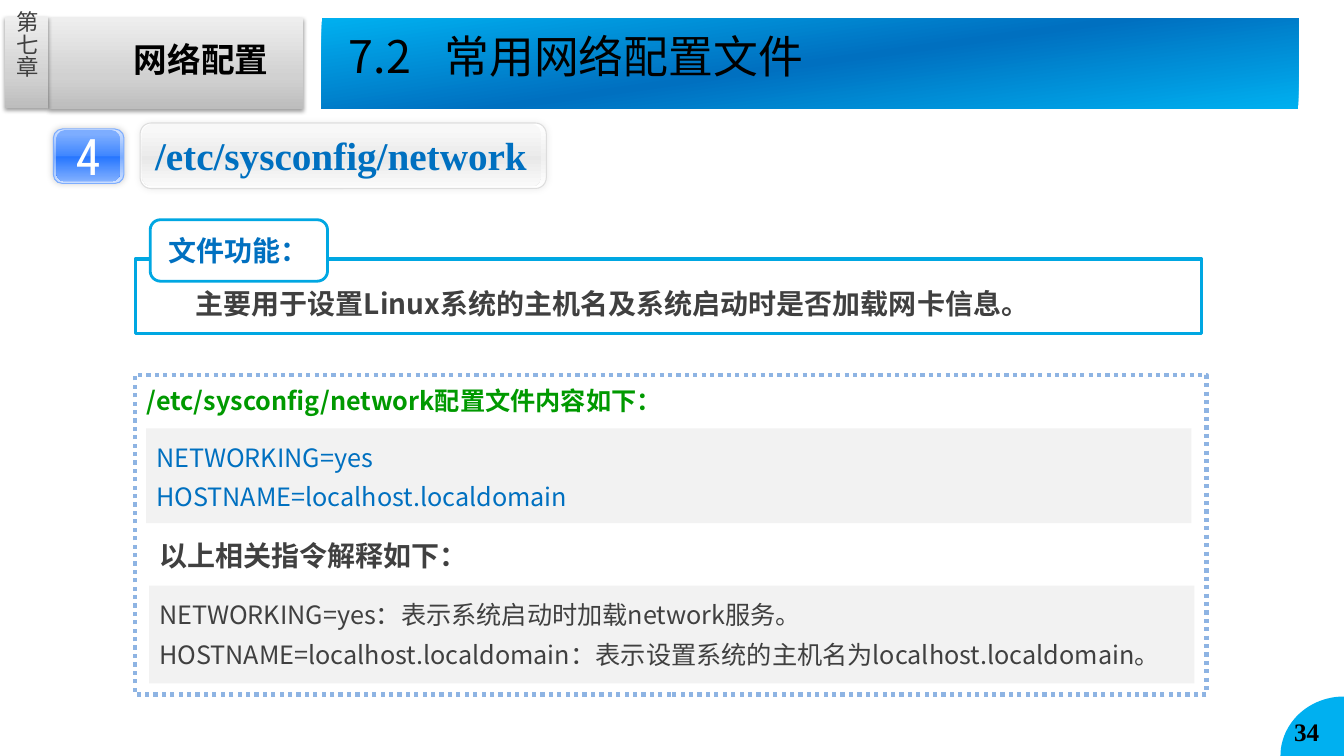
"""Build the slide on the /etc/sysconfig/network configuration file."""
import math

import pptx
import pptx.dml.color
import pptx.enum.dml
import pptx.enum.shapes
import pptx.enum.text
import pptx.oxml
import pptx.oxml.ns
import pptx.util
from lxml import etree

COLUMNS, ROWS, CELL = 133.33, 75, 0.1
SANS, SERIF, DIGIT = "Noto Sans CJK SC", "Times New Roman", "Roboto Condensed"
BLUE, GREY, CYAN, PALE = "0070C0", "404040", "00A7E2", "F2F2F2"
RECT = pptx.enum.shapes.MSO_SHAPE.RECTANGLE
ROUND = pptx.enum.shapes.MSO_SHAPE.ROUNDED_RECTANGLE
TOP = pptx.enum.text.MSO_ANCHOR.TOP
MIDDLE = pptx.enum.text.MSO_ANCHOR.MIDDLE
LEFT = pptx.enum.text.PP_ALIGN.LEFT
CENTER = pptx.enum.text.PP_ALIGN.CENTER
INSETS = (1, 0.5, 1, 0.5)

TITLE = "7.2\t常用网络配置文件"
TITLE_BOX = (31.9, 1.8, 96.9, 9)
TITLE_TAB = 9.5
BANNER = (262, [(0, "00B0F0"), (50, BLUE), (100, "00B0F0")])
SILVER = (270, [(0, "BDBDBD"), (35, "D1D1D1"), (100, "EEEEEE")])
PILL_RIM = (90, [(0, "FFFFFF"), (52, "F0F0F0"), (100, "FFFFFF")])
PILL_FACE = (90, [(8, "F8F8F8"), (50, "ECECEC"), (52, "E8E8E8"), (98, "F9F9F9"), (100, "FFFFFF")])
BADGE_RIM = (90, [(0, "D4E4FF"), (52, "7DADFF"), (100, "D4E4FF")])
BADGE_FACE = (90, [(8, "7DADFF"), (50, "4087FF"), (52, "2676FF"), (98, "7DADFF"), (100, "A8C8FF")])
HEADER_SHADOW = ("000000", 38, 3.1, 1.6, 90)

PANELS = [
    dict(box=(4.8, 1.8, 25.3, 9), fill=SILVER, shadow=HEADER_SHADOW),
    dict(box=(12.3, 3.4, 17.8, 5.3), lines=["网络配置"], size=24, color="000000", bold=True),
    dict(box=(0.5, 1.7, 4.3, 9), fill=SILVER, shadow=HEADER_SHADOW),
    dict(box=(1.2, 1.1, 2.9, 10.5), lines=["第七章"], size=16, anchor=MIDDLE,
         insets=(0, 0, 0, 0), vertical=True),
    dict(box=(13.4, 37.2, 106.3, 31.7), fill="FFFFFF", line=("8EB4E3", 3), dotted=True),
    dict(box=(14.5, 42.5, 103.7, 9.4), fill=PALE, color=BLUE, spacing=1.3,
         lines=["NETWORKING=yes", "HOSTNAME=localhost.localdomain"]),
    dict(box=(13.6, 37.1, 106.1, 4.6), color="009900", bold=True, spacing=1.2,
         lines=["/etc/sysconfig/network配置文件内容如下："]),
    dict(box=(14.8, 52.3, 46.7, 5), size=20, bold=True, spacing=1.2,
         lines=["以上相关指令解释如下："]),
    dict(box=(14.8, 58.1, 103.7, 9.7), fill=PALE, spacing=1.3,
         lines=["NETWORKING=yes：表示系统启动时加载network服务。",
                "HOSTNAME=localhost.localdomain：表示设置系统的主机名为localhost.localdomain。"]),
    dict(box=(13.9, 12.2, 40.3, 6.5), form=ROUND, fill=PILL_RIM, line=("DDDDDD", 0.75),
         shadow=("000000", 8, 5, 0, 0)),
    dict(box=(14.1, 12.3, 39.6, 6.2), form=ROUND, fill=PILL_FACE, anchor=MIDDLE,
         lines=["/etc/sysconfig/network"], size=28, font=SERIF, color=BLUE, bold=True),
    dict(box=(5.3, 12.8, 7, 5.4), form=ROUND, fill=BADGE_RIM, line=("7DADFF", 0.75),
         shadow=("000000", 18, 5, 0, 0)),
    dict(box=(5.6, 12.9, 6.3, 5.1), form=ROUND, fill=BADGE_FACE, anchor=MIDDLE, align=CENTER,
         lines=["4"], size=36, font=DIGIT, color="FFFFFF"),
    dict(box=(13.4, 25.7, 105.8, 7.4), line=(CYAN, 2.25), insets=(6, 2.7, 1, 0),
         lines=["主要用于设置Linux系统的主机名及系统启动时是否加载网卡信息。"], size=20, bold=True),
    dict(box=(14.9, 21.8, 17.6, 6.1), form=ROUND, fill="FFFFFF", line=(CYAN, 2),
         anchor=MIDDLE, align=CENTER, lines=["文件功能："], size=20, color=BLUE, bold=True),
]
PAGE = dict(box=(127.4, 70.6, 5.9, 4), lines=["34"], font=SERIF, color="000000", bold=True)
CORNER_RADII, CORNER_STEPS = (6.3, 5.9), 24


def grid(cells):
    return pptx.util.Inches(cells * CELL)


def rgb(code):
    return pptx.dml.color.RGBColor.from_string(code)


def child(parent, tag, **attributes):
    return etree.SubElement(parent, pptx.oxml.ns.qn(tag), attributes)


def paint(shape, fill):
    if fill is None:
        shape.fill.background()
    elif isinstance(fill, str):
        shape.fill.solid()
        shape.fill.fore_color.rgb = rgb(fill)
    else:
        angle, stops = fill
        shape.fill.gradient()
        shape.fill.gradient_angle = 360 - angle
        stop_list = shape.element.spPr.find(".//" + pptx.oxml.ns.qn("a:gsLst"))
        for old_stop in list(stop_list):
            stop_list.remove(old_stop)
        for position, color in stops:
            stop = child(stop_list, "a:gs", pos=str(position * 1000))
            child(stop, "a:srgbClr", val=color)


def outline(shape, line, dotted=False):
    if line is None:
        shape.line.fill.background()
        return
    color, width = line
    shape.line.color.rgb = rgb(color)
    shape.line.width = pptx.util.Pt(width)
    if dotted:
        shape.line.dash_style = pptx.enum.dml.MSO_LINE.ROUND_DOT


def cast_shadow(shape, shadow):
    shape.shadow.inherit = False
    if shadow:
        color, opacity, blur, distance, angle = shadow
        effects = shape.element.spPr.find(pptx.oxml.ns.qn("a:effectLst"))
        outer = child(effects, "a:outerShdw", blurRad=str(pptx.util.Pt(blur)),
                      dist=str(pptx.util.Pt(distance)), dir=str(angle * 60000), rotWithShape="0")
        child(child(outer, "a:srgbClr", val=color), "a:alpha", val=str(opacity * 1000))


def write(shape, lines, size=18, font=SANS, color=GREY, bold=False, align=LEFT,
          anchor=TOP, spacing=1.0, insets=INSETS, vertical=False, tab=None):
    frame = shape.text_frame
    frame.word_wrap = True
    frame.auto_size = pptx.enum.text.MSO_AUTO_SIZE.NONE
    frame.vertical_anchor = anchor
    frame.margin_left, frame.margin_top, frame.margin_right, frame.margin_bottom = map(grid, insets)
    if vertical:
        frame._txBody.bodyPr.set("vert", "eaVert")
    frame.text = "\n".join(lines)
    for paragraph in frame.paragraphs:
        paragraph.alignment = align
        paragraph.line_spacing = spacing
        properties = paragraph._p.get_or_add_pPr()
        if tab:
            child(child(properties, "a:tabLst"), "a:tab", pos=str(grid(tab)), algn="l")
        paragraph.font.name = font
        paragraph.font.size = pptx.util.Pt(size)
        paragraph.font.bold = bold
        paragraph.font.color.rgb = rgb(color)
        child(properties.find(pptx.oxml.ns.qn("a:defRPr")), "a:ea", typeface=font)


def add_panel(slide, box, form=RECT, fill=None, line=None, dotted=False, shadow=None,
              lines=None, **style):
    place = [grid(cells) for cells in box]
    if fill is None and line is None:
        panel = slide.shapes.add_textbox(*place)
    else:
        panel = slide.shapes.add_shape(form, *place)
        paint(panel, fill)
        outline(panel, line, dotted)
        cast_shadow(panel, shadow)
    if lines:
        write(panel, lines, **style)


def add_corner(slide):
    across, up = CORNER_RADII
    angles = [math.pi / 2 * step / CORNER_STEPS for step in range(CORNER_STEPS + 1)]
    arc = [(grid(COLUMNS - across * math.cos(a)), grid(ROWS - up * math.sin(a))) for a in angles]
    builder = slide.shapes.build_freeform(grid(COLUMNS), grid(ROWS))
    builder.add_line_segments(arc, close=True)
    corner = builder.convert_to_shape()
    paint(corner, "00B0F0")
    outline(corner, None)
    cast_shadow(corner, None)


def main():
    deck = pptx.Presentation()
    deck.slide_width, deck.slide_height = grid(COLUMNS), grid(ROWS)
    slide = deck.slides.add_slide(deck.slide_layouts[5])
    title = slide.shapes.title
    title.left, title.top, title.width, title.height = map(grid, TITLE_BOX)
    paint(title, BANNER)
    write(title, [TITLE], size=32, color="000000", insets=(2.7, 1, 0, 0), tab=TITLE_TAB)
    for panel in PANELS:
        add_panel(slide, **panel)
    add_corner(slide)
    add_panel(slide, **PAGE)
    deck.save("out.pptx")


if __name__ == "__main__":
    main()
